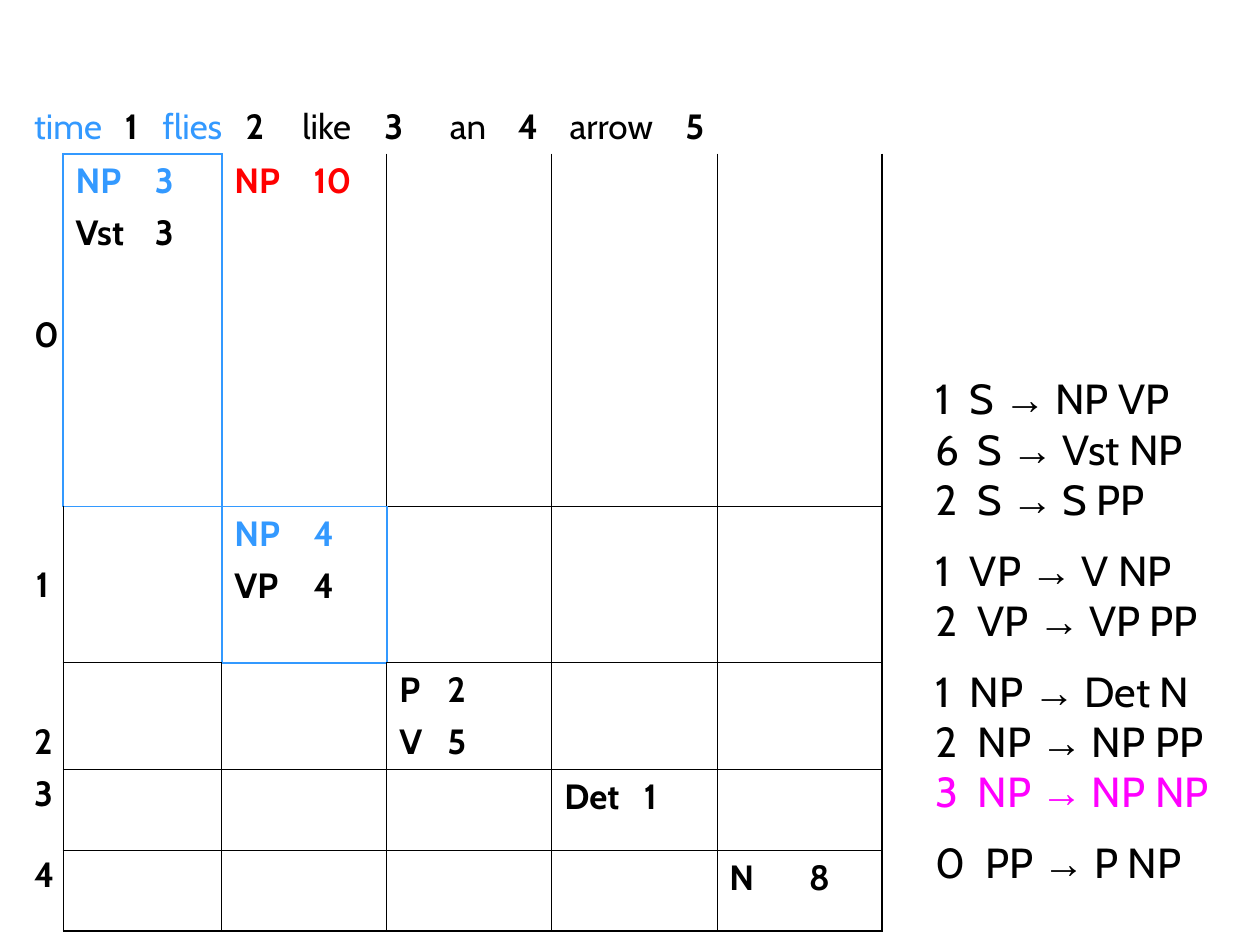
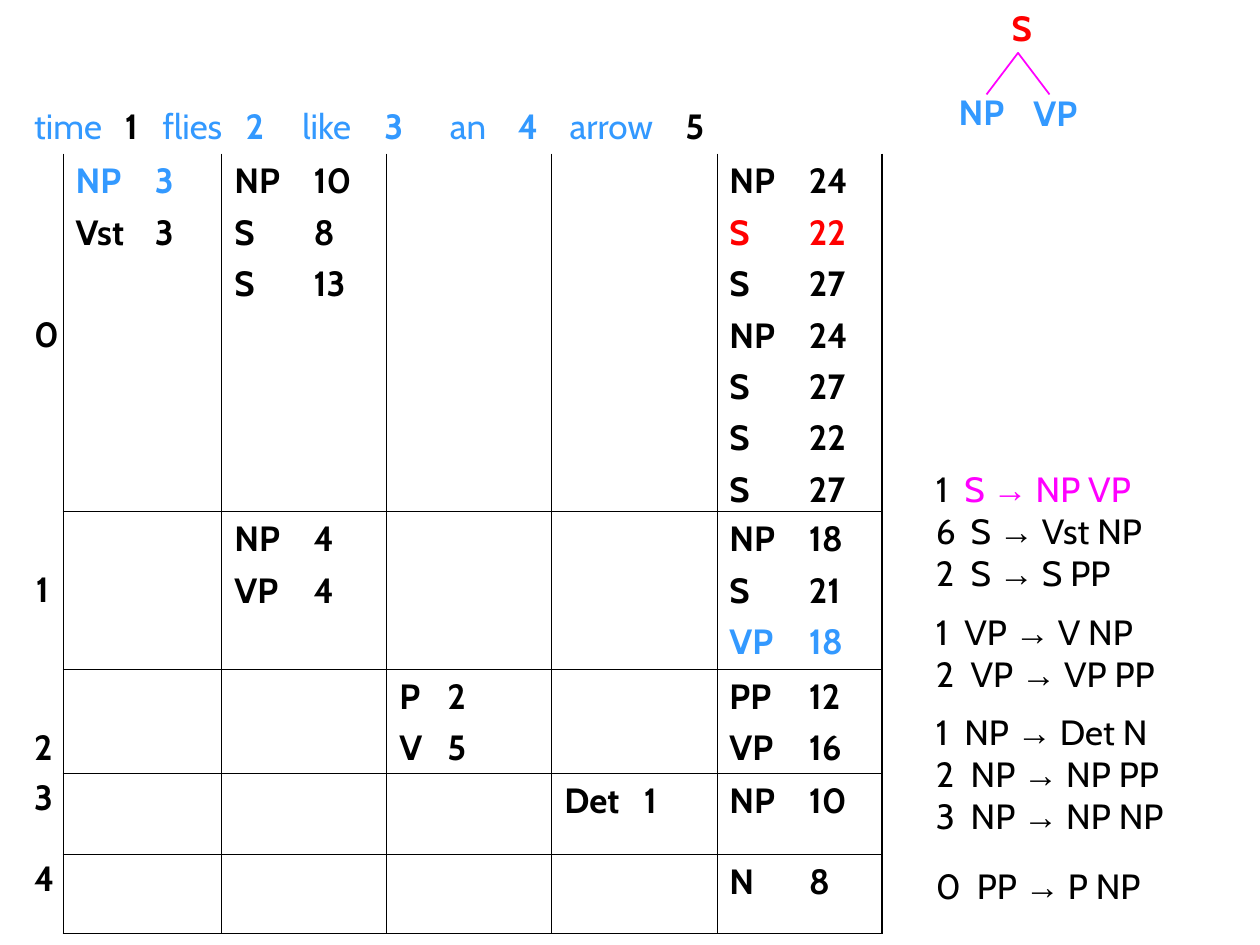
from lxml.etree import SubElement
from pptx import Presentation
from pptx.dml.color import RGBColor
from pptx.enum.text import PP_ALIGN
from pptx.oxml.ns import qn
from pptx.util import Inches, Pt

COLORS = {"black": "000000", "blue": "3399FF", "red": "FF0000", "magenta": "FF00FF"}
NO_GRID_STYLE = "{2D5ABB26-0587-4C30-8999-92F81FD0307C}"

# Sentence above the chart: word or position, and its tab stop
SENTENCE = [("time", 0), ("1", 0.72), ("flies", 1.02), ("2", 1.68), ("like", 2.13),
            ("3", 2.78), ("an", 3.30), ("4", 3.84), ("arrow", 4.25), ("5", 5.17)]

# Grammar rules in groups: weight, left side, right side
GRAMMAR = [
    [("1", "S", "NP VP"), ("6", "S", "Vst NP"), ("2", "S", "S PP")],
    [("1", "VP", "V NP"), ("2", "VP", "VP PP")],
    [("1", "NP", "Det N"), ("2", "NP", "NP PP"), ("3", "NP", "NP NP")],
    [("0", "PP", "P NP")],
]
WEIGHT_TABS = {"1": 0.27, "0": 0.39}  # at 24 points; other digits use 0.33

# Row labels: line spacing and top margin
ROW_LABELS = [("0", None, 1.27), ("1", 2.2, 0.05), ("2", 2.2, 0.05),
              ("3", 0.9, 0.05), ("4", 0.9, 0.05)]

COLUMN_WIDTHS = [0.33, 1.26, 1.31, 1.31, 1.31, 1.31]
SIDES = {"L": (0, -1), "R": (0, 1), "T": (-1, 0), "B": (1, 0)}

# Entries found on both slides, by row and column
SHARED_ENTRIES = {
    (1, 1): ["NP 3 blue", "Vst 3"],
    (3, 3): ["P 2", "V 5"],
    (4, 4): ["Det 1"],
    (5, 5): ["N 8"],
}

SLIDES = [
    {
        "rows": [0.43, 2.8, 1.24, 0.85, 0.64, 0.64],
        "blue_words": {"time", "flies"},
        "outlined": {(1, 1), (2, 2)},
        "entries": {(1, 2): ["NP 10 red"], (2, 2): ["NP 4 blue", "VP 4"]},
        "grammar": {"top": 2.91, "height": 4.18, "size": 24, "used": "NP NP",
                    "weight_color": "magenta", "last_spacing": 1.4},
        "tree": [],
    },
    {
        "rows": [0.43, 2.84, 1.25, 0.83, 0.64, 0.63],
        "blue_words": {"time", "flies", "2", "like", "3", "an", "4", "arrow"},
        "outlined": set(),
        "entries": {
            (1, 2): ["NP 10", "S 8", "S 13"],
            (1, 5): ["NP 24", "S 22 red", "S 27", "NP 24", "S 27", "S 22", "S 27"],
            (2, 2): ["NP 4", "VP 4"],
            (2, 5): ["NP 18", "S 21", "VP 18 blue"],
            (3, 5): ["PP 12", "VP 16"],
            (4, 5): ["NP 10"],
        },
        "grammar": {"top": 3.66, "height": 3.6, "size": 20, "used": "NP VP",
                    "weight_color": "black", "last_spacing": 1.65},
        "tree": [("S", "red", 7.93, 0, 0.35), ("NP", "blue", 7.49, 0.67, 0.6),
                 ("VP", "blue", 8.1, 0.68, 0.55)],
    },
]


def next_paragraph(frame, tabs=(), spacing=None, before=0, align=PP_ALIGN.LEFT):
    """Return the empty first paragraph or a new one, with its tab stops set."""
    is_first = not frame.paragraphs[0].runs
    paragraph = frame.paragraphs[0] if is_first else frame.add_paragraph()
    if tabs:
        tab_list = SubElement(paragraph._p.get_or_add_pPr(), qn("a:tabLst"))
        for tab in tabs:
            SubElement(tab_list, qn("a:tab"), pos=str(Inches(tab)), algn="l")
    paragraph.alignment = align
    if spacing:
        paragraph.line_spacing = spacing
    if not is_first:
        paragraph.space_before = Pt(before)
    return paragraph


def add_text(paragraph, text, color="black", size=20, bold=False, font="Cabin"):
    run = paragraph.add_run()
    run.text = text
    run.font.name = font
    run.font.size = Pt(size)
    run.font.bold = bold
    run.font.color.rgb = RGBColor.from_string(COLORS[color])


presentation = Presentation()
presentation.slide_width = Inches(10)
presentation.slide_height = Inches(7.5)

for content in SLIDES:
    slide = presentation.slides.add_slide(presentation.slide_layouts[6])

    # Parse chart
    frame = slide.shapes.add_table(
        6, 6, Inches(0.17), Inches(0.79),
        Inches(sum(COLUMN_WIDTHS)), Inches(sum(content["rows"])))
    table = frame.table
    table._tbl.tblPr.find(qn("a:tableStyleId")).text = NO_GRID_STYLE
    table.first_row = table.horz_banding = False
    for column, width in zip(table.columns, COLUMN_WIDTHS):
        column.width = Inches(width)
    for row, height in zip(table.rows, content["rows"]):
        row.height = Inches(height)
    table.cell(0, 0).merge(table.cell(0, 5))

    # Cell borders: blue around outlined cells, heavier at the outer edges
    for row in range(6):
        for column in range(6):
            cell = table.cell(row, column)
            cell.margin_bottom = 0
            properties = cell._tc.get_or_add_tcPr()
            for side, (down, right) in SIDES.items():
                neighbour = (row + down, column + right)
                outlined = bool({(row, column), neighbour} & content["outlined"])
                open_edge = (row == 0 or (column == 0 and side != "R")
                             or (row == 1 and side == "T"))
                if open_edge and not outlined:
                    continue
                heavy = outlined or 6 in neighbour
                line = SubElement(properties, qn(f"a:ln{side}"),
                                  w=str(Pt(1.08 if heavy else 0.45)))
                fill = SubElement(line, qn("a:solidFill"))
                SubElement(fill, qn("a:srgbClr"),
                           val=COLORS["blue" if outlined else "black"])
            cell.fill.background()

    # Sentence with numbered positions
    paragraph = next_paragraph(table.cell(0, 0).text_frame,
                               tabs=[tab for word, tab in SENTENCE[1:]])
    for word, tab in SENTENCE:
        add_text(paragraph, f"\t{word}" if tab else word, bold=word.isdigit(),
                 color="blue" if word in content["blue_words"] else "black")

    # Row labels
    for row, (label, spacing, margin) in enumerate(ROW_LABELS, start=1):
        cell = table.cell(row, 0)
        cell.margin_top = Inches(margin)
        paragraph = next_paragraph(cell.text_frame, spacing=spacing,
                                   align=PP_ALIGN.CENTER)
        add_text(paragraph, label, bold=True)

    # Constituents and their weights
    for (row, column), entries in (SHARED_ENTRIES | content["entries"]).items():
        for entry in entries:
            category, weight, *color = entry.split()
            paragraph = next_paragraph(table.cell(row, column).text_frame, before=5,
                                       tabs=[0.38 if column == 3 else 0.63])
            add_text(paragraph, f"{category}\t{weight}", bold=True,
                     color=color[0] if color else "black")

    # Grammar
    grammar = content["grammar"]
    size = grammar["size"]
    box = slide.shapes.add_textbox(Inches(7.33), Inches(grammar["top"]),
                                   Inches(2.67), Inches(grammar["height"]))
    box.text_frame.word_wrap = True
    for group_number, group in enumerate(GRAMMAR):
        for rule_number, (weight, left, right) in enumerate(group):
            spacing = None
            if group_number and rule_number == 0:
                spacing = grammar["last_spacing"] if group is GRAMMAR[-1] else 1.4
            used = right == grammar["used"]
            color = "magenta" if used else "black"
            paragraph = next_paragraph(
                box.text_frame, spacing=spacing,
                tabs=[WEIGHT_TABS.get(weight, 0.33) * size / 24])
            add_text(paragraph, f"{weight}\t", size=size,
                     color=grammar["weight_color"] if used else "black")
            add_text(paragraph, f"{left} ", size=size, color=color)
            add_text(paragraph, "→", size=size, color=color, font="Arial")
            add_text(paragraph, f" {right}", size=size, color=color)

    # Small tree for the rule in use
    for label, color, left, top, width in content["tree"]:
        box = slide.shapes.add_textbox(Inches(left), Inches(top),
                                       Inches(width), Inches(0.44))
        box.text_frame.word_wrap = False
        paragraph = next_paragraph(box.text_frame, align=PP_ALIGN.CENTER)
        add_text(paragraph, label, color=color, bold=True)
    if content["tree"]:
        builder = slide.shapes.build_freeform(Inches(7.83), Inches(0.75))
        builder.add_line_segments([(Inches(8.08), Inches(0.42)),
                                   (Inches(8.33), Inches(0.75))], close=False)
        branches = builder.convert_to_shape()
        branches.shadow.inherit = False
        branches.fill.background()
        branches.line.color.rgb = RGBColor.from_string(COLORS["magenta"])
        branches.line.width = Pt(1)

presentation.save("out.pptx")
